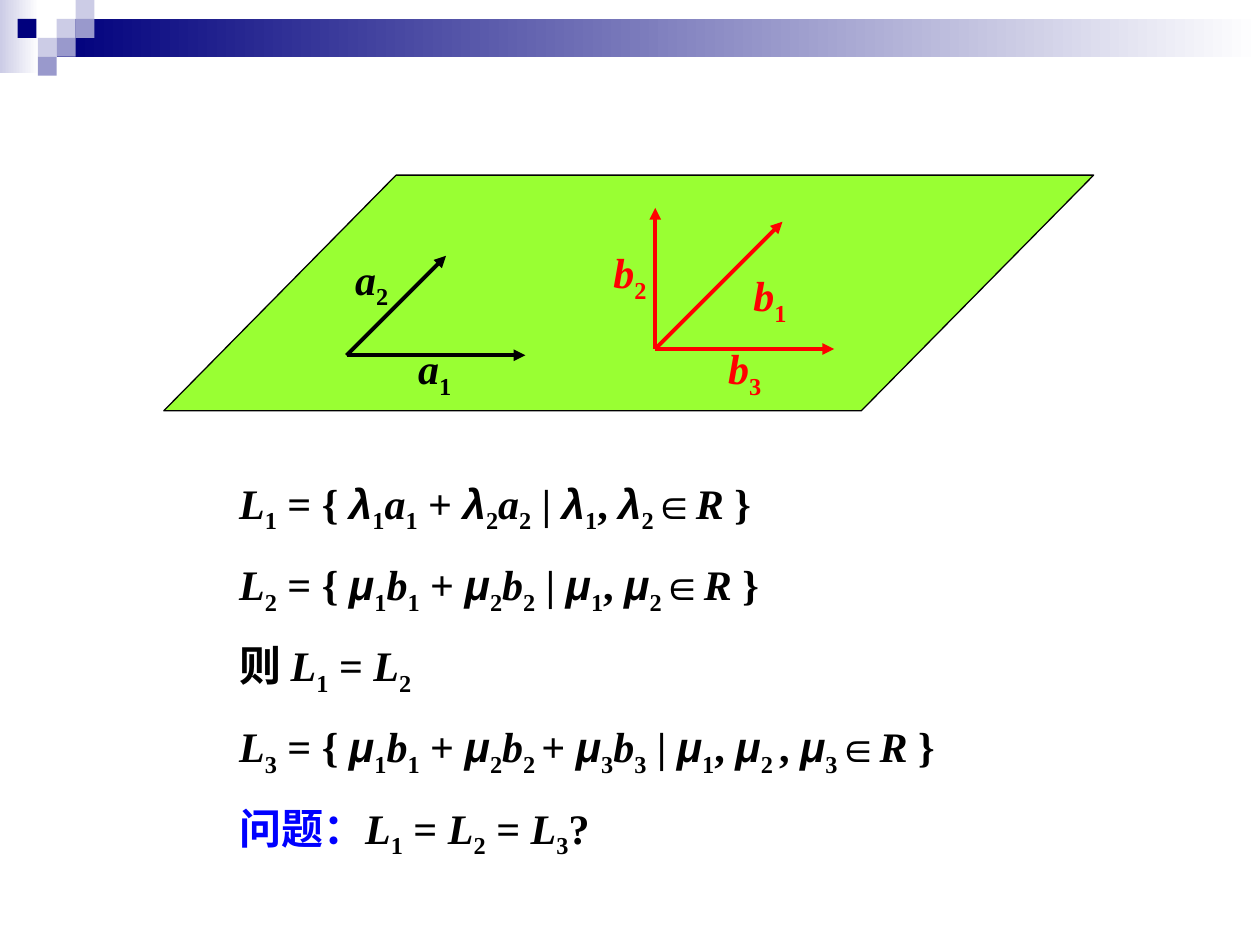
from itertools import groupby
from lxml import etree
from pptx import Presentation
from pptx.dml.color import RGBColor
from pptx.enum.shapes import MSO_CONNECTOR, MSO_SHAPE
from pptx.oxml.ns import qn
from pptx.util import Inches, Pt

LINE = MSO_CONNECTOR.STRAIGHT
RECT = MSO_SHAPE.RECTANGLE
SLANT = MSO_SHAPE.PARALLELOGRAM
NAVY, PALE, MID, WHITE = "00007D", "CCCCE6", "9999CC", "FFFFFF"
BLACK, RED, BLUE, GREEN = "000000", "FF0000", "0000FF", "99FF33"

BANDS = [((0, 0, 0.31, 0.58), PALE), ((0.45, 0.15, 9.55, 0.3), NAVY)]
TILE = 0.15
TILES = [  # column, row, colour
    (3, 1, PALE), (4, 0, PALE), (4, 1, MID), (2, 2, PALE),
    (0.93, 1, NAVY), (3, 2, MID), (2, 3, MID),
]
PLANE = (1.3, 1.39, 7.38, 1.87)
# origin, colour, then each vector: label, its left and top, run and rise
FANS = [
    ((2.75, 2.82), BLACK, [
        ("a1", (3.22, 2.67), (1.42, 0)),
        ("a2", (2.72, 1.96), (0.79, -0.79))]),
    ((5.2, 2.77), RED, [
        ("b1", (5.88, 2.09), (1.01, -1.01)),
        ("b2", (4.77, 1.91), (0, -1.12)),
        ("b3", (5.68, 2.67), (1.42, 0))]),
]
# Digits are subscripts, and "_" is a space set as a subscript
SETS = [
    "L1 = { λ1a1 + λ2a2 | λ1, λ2∈R }",
    "L2 = { μ1b1 + μ2b2 | μ1, μ2∈R }",
    "则 L1 = L2",
    "L3 = { μ1b1 + μ2b2_+ μ3b3 | μ1, μ2_, μ3∈R }",
    "问题：L1 = L2 = L3?",
]


def rgb(code):
    return RGBColor.from_string(code)


def add_shape(slide, kind, box, color, fade=False, line=None):
    shape = slide.shapes.add_shape(kind, *map(Inches, box))
    shape.shadow.inherit = False
    if fade:
        shape.fill.gradient()
        shape.fill.gradient_angle = 0
        for stop, code in zip(shape.fill.gradient_stops, (color, WHITE)):
            stop.color.rgb = rgb(code)
    else:
        shape.fill.solid()
        shape.fill.fore_color.rgb = rgb(color)
    if line:
        shape.line.color.rgb = rgb(line)
        shape.line.width = Pt(0.75)
    else:
        shape.line.fill.background()
    return shape


def add_arrow(slide, start, step, color):
    x, y = start
    dx, dy = step
    arrow = slide.shapes.add_connector(
        LINE, *map(Inches, (x, y, x + dx, y + dy)))
    arrow.line.color.rgb = rgb(color)
    arrow.line.width = Pt(2.25)
    etree.SubElement(arrow.line._get_or_add_ln(), qn("a:tailEnd"),
                     type="triangle")
    etree.SubElement(arrow._element.spPr, qn("a:effectLst"))


def style(char):
    """Give font, italic, subscript and accent for one character of maths."""
    greek = char in "λμ"
    return ("Arial" if greek else "Times New Roman",
            greek or (char.isascii() and char.isalpha()),
            char.isdigit() or char == "_",
            char in "问题：")


def add_text(slide, box, lines, color=BLACK, size=24, wrap=False, gap=0):
    frame = slide.shapes.add_textbox(*map(Inches, box)).text_frame
    frame.word_wrap = wrap
    for i, line in enumerate(lines):
        para = frame.paragraphs[0] if i == 0 else frame.add_paragraph()
        if i:
            para.space_before = Pt(gap)
        for (face, slope, sub, accent), chars in groupby(line, style):
            run = para.add_run()
            run.text = "".join(chars).replace("_", " ")
            font = run.font
            font.name, font.size = face, Pt(size)
            font.bold, font.italic = True, slope
            font.color.rgb = rgb(BLUE if accent else color)
            if sub:
                run._r.get_or_add_rPr().set("baseline", "-25000")


def main():
    deck = Presentation()
    deck.slide_width, deck.slide_height = Inches(10), Inches(7.5)
    slide = deck.slides.add_slide(deck.slide_layouts[6])

    for box, color in BANDS:
        add_shape(slide, RECT, box, color, fade=True)
    for col, row, color in TILES:
        add_shape(slide, RECT, (col * TILE, row * TILE, TILE, TILE), color)

    plane = add_shape(slide, SLANT, PLANE, GREEN, line=BLACK)
    plane.adjustments[0] = 0.986
    for start, color, vectors in FANS:
        for label, spot, step in vectors:
            add_arrow(slide, start, step, color)
            add_text(slide, (*spot, 0.48, 0.5), [label], color=color)

    add_text(slide, (1.8, 3.74, 5.83, 2.9), SETS, wrap=True, gap=13.6)
    deck.save("out.pptx")


if __name__ == "__main__":
    main()
